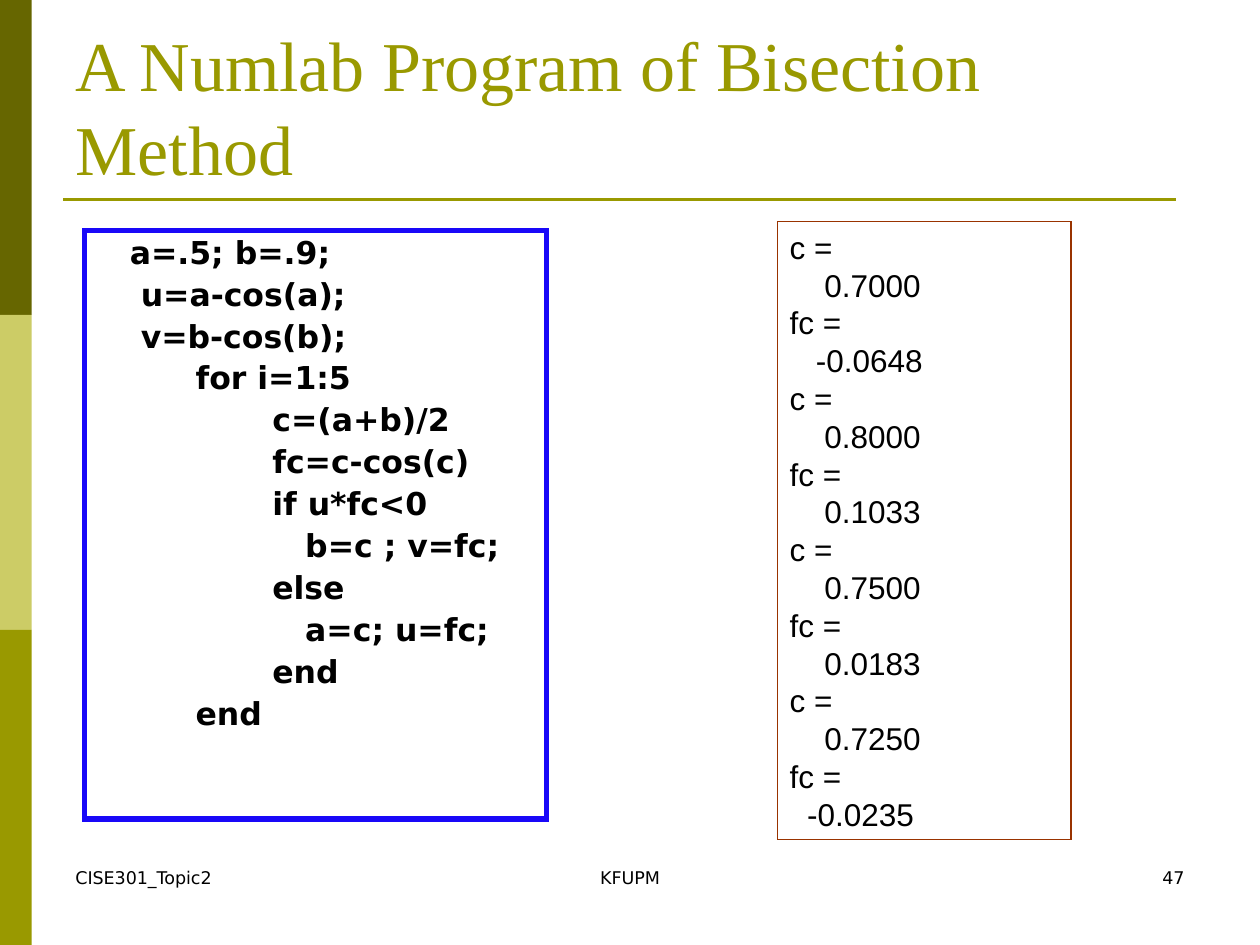
from lxml import etree
from pptx import Presentation
from pptx.dml.color import RGBColor
from pptx.enum.shapes import MSO_CONNECTOR, MSO_SHAPE
from pptx.enum.text import MSO_ANCHOR, MSO_AUTO_SIZE, PP_ALIGN
from pptx.oxml.ns import qn
from pptx.util import Cm, Pt

LEFT, MID, RIGHT = PP_ALIGN.LEFT, PP_ALIGN.CENTER, PP_ALIGN.RIGHT
TOP, BOTTOM = MSO_ANCHOR.TOP, MSO_ANCHOR.BOTTOM
RECT, LINE = MSO_SHAPE.RECTANGLE, MSO_CONNECTOR.STRAIGHT
FIXED = MSO_AUTO_SIZE.NONE

BLACK = RGBColor(0, 0, 0)
OLIVE = RGBColor(0x99, 0x99, 0x00)
DARK = RGBColor(0x66, 0x66, 0x00)
PALE = RGBColor(0xCC, 0xCC, 0x66)
BLUE = RGBColor(0x19, 0x08, 0xF8)
RUST = RGBColor(0x99, 0x33, 0x00)
SERIF, SANS, PLAIN = "Times New Roman", "DejaVu Sans", "Arial"

TITLE = "A Numlab Program of Bisection Method"
CODE = [
    "   a=.5; b=.9;",
    "    u=a-cos(a);",
    "    v=b-cos(b);",
    "         for i=1:5",
    "                c=(a+b)/2",
    "                fc=c-cos(c)",
    "                if u*fc<0",
    "                   b=c ; v=fc;",
    "                else",
    "                   a=c; u=fc;",
    "                end",
    "         end",
]
# name, value, indent of the value in cm
STEPS = [
    ("c", "0.7000", 0.7), ("fc", "-0.0648", 0.53),
    ("c", "0.8000", 0.7), ("fc", "0.1033", 0.7),
    ("c", "0.7500", 0.7), ("fc", "0.0183", 0.7),
    ("c", "0.7250", 0.7), ("fc", "-0.0235", 0.35),
]
# text, left, width, alignment
FOOT = [
    ("CISE301_Topic2", 1.27, 5.93, LEFT),
    ("KFUPM", 8.68, 8.04, MID),
    ("47", 18.2, 5.93, RIGHT),
]
BAND = 6.35


def place(shape, x, y, w, h):
    shape.left, shape.top, shape.width, shape.height = map(Cm, (x, y, w, h))


def setup(shape, anchor=TOP):
    frame = shape.text_frame
    frame.word_wrap = True
    frame.auto_size = FIXED
    frame.vertical_anchor = anchor
    return frame


def write(frame, lines, font, size, color=BLACK, bold=False, align=LEFT,
          space=1.0, gap=0):
    frame.text = "\n".join(lines)
    for n, para in enumerate(frame.paragraphs):
        para.alignment = align
        para.line_spacing = space
        para.space_before = Pt(gap if n else 0)
        para.font.name, para.font.size = font, Pt(size)
        para.font.bold = bold
        para.font.color.rgb = color


def indent(para, left):
    props = para._p.get_or_add_pPr()
    props.set("marL", str(Cm(left)))
    props.set("indent", "0")
    return props


def border(shape, color, width):
    """Give the outline a colour, a width and sharp corners."""
    shape.line.color.rgb = color
    shape.line.width = Pt(width)
    edge = shape._element.spPr.find(qn("a:ln"))
    etree.SubElement(edge, qn("a:miter")).set("lim", "800000")


prs = Presentation()
prs.slide_width, prs.slide_height = Cm(25.4), Cm(19.05)
slide = prs.slides.add_slide(prs.slide_layouts[1])
shapes = slide.shapes

for n, color in enumerate((DARK, PALE, OLIVE)):
    band = shapes.add_shape(RECT, 0, Cm(n * BAND), Cm(0.64), Cm(BAND))
    band.shadow.inherit = False
    band.fill.solid()
    band.fill.fore_color.rgb = color
    band.line.fill.background()

rule = shapes.add_connector(LINE, Cm(1.27), Cm(4.02), Cm(23.7), Cm(4.02))
border(rule, OLIVE, 1.5)
etree.SubElement(rule._element.spPr, qn("a:effectLst"))

for text, x, w, align in FOOT:
    box = shapes.add_textbox(Cm(x), Cm(17.35), Cm(w), Cm(1.27))
    write(setup(box), [text], SANS, 10, align=align)

title = shapes.title
place(title, 1.27, 0.76, 22.86, 3.18)
write(setup(title, BOTTOM), [TITLE], SERIF, 40, OLIVE)

body = slide.placeholders[1]
place(body, 1.7, 4.65, 9.32, 11.86)
border(body, BLUE, 3)
frame = setup(body)
write(frame, CODE, SANS, 18, bold=True, space=0.9, gap=4.5)
for para in frame.paragraphs:
    props = indent(para, 0)
    mark = etree.SubElement(props, qn("a:buNone"))
    props.find(qn("a:spcBef")).addnext(mark)

result = shapes.add_shape(RECT, Cm(15.67), Cm(4.47), Cm(5.92), Cm(12.45))
result.shadow.inherit = False
result.fill.background()
border(result, RUST, 0.75)
frame = setup(result)
lines = [line for name, value, _ in STEPS for line in (f"{name} =", value)]
write(frame, lines, PLAIN, 18)
for para, step in zip(frame.paragraphs[1::2], STEPS):
    indent(para, step[2])

prs.save("out.pptx")
